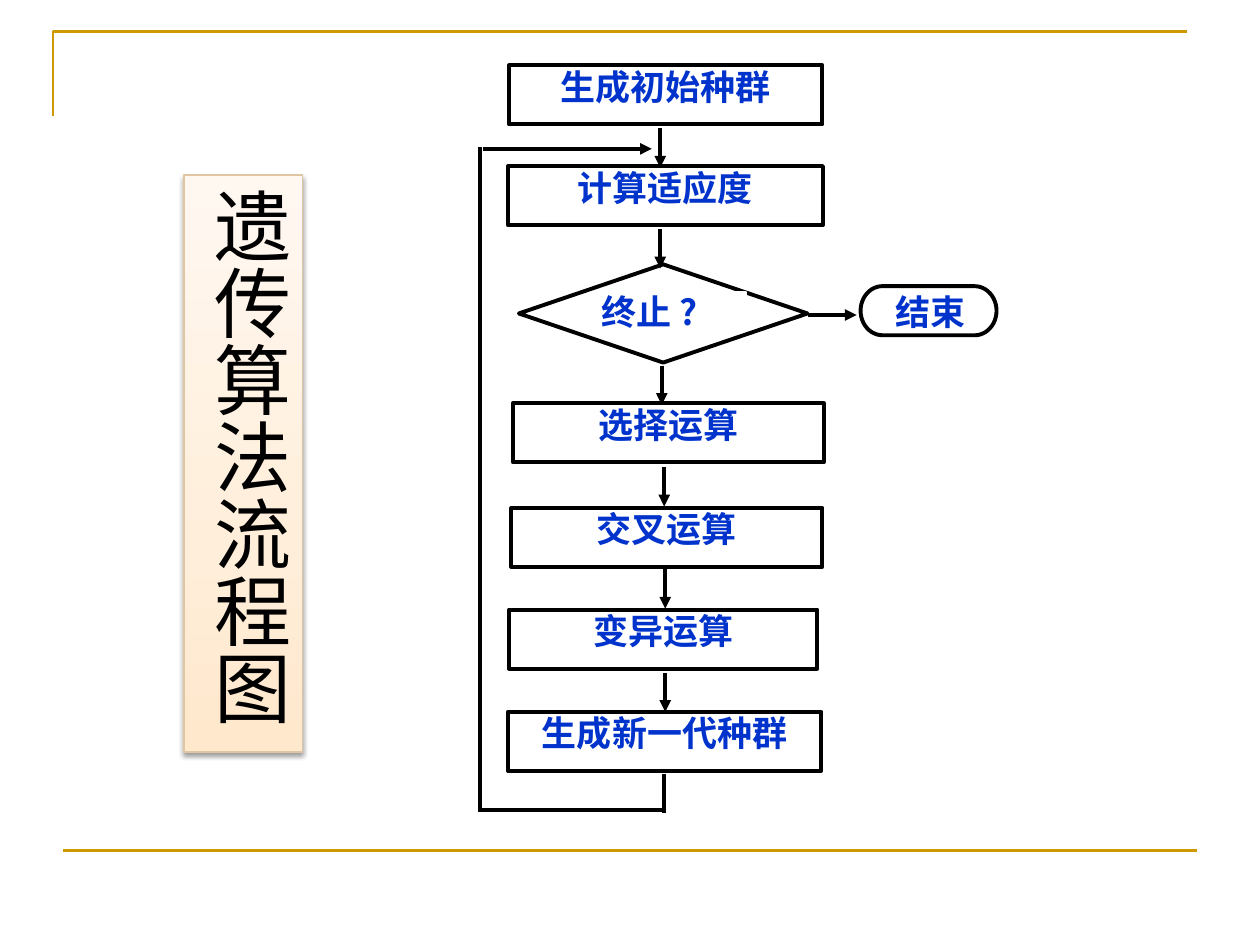
from dataclasses import dataclass

from lxml.etree import SubElement as Sub
from pptx import Presentation
from pptx.dml.color import RGBColor as Rgb
from pptx.enum.shapes import MSO_CONNECTOR as Conn, MSO_SHAPE as Kind
from pptx.enum.text import MSO_ANCHOR as Anchor, PP_ALIGN as Align
from pptx.oxml.ns import qn
from pptx.util import Cm, Pt


@dataclass(frozen=True)
class Theme:
    """Colours, type sizes, fonts and line widths of the slide."""
    ink: str = "000000"
    text: str = "0033CC"
    paper: str = "FFFFFF"
    gold: str = "CC9900"
    rim: str = "DEC6A5"
    glow: tuple = ((0, "FFE8CC"), (35, "FFEEDA"), (100, "FFF8F1"))
    body: int = 20
    head: int = 44
    sans: str = "Noto Sans CJK SC"
    tall: str = "Noto Sans CJK JP"
    thin: float = 0.75
    rule: float = 1.5
    bold: float = 2.25


THEME = Theme()
STEP = 1.19
DROP = 0.79
STEPS = (
    ("生成初始种群", 0.63, 0, 6.32),
    ("计算适应度", 0.61, 2.03, 6.35),
    ("选择运算", 0.71, 6.81, 6.27),
    ("交叉运算", 0.68, 8.92, 6.27),
    ("变异运算", 0.63, 10.97, 6.22),
    ("生成新一代种群", 0.61, 13.03, 6.32),
)
DROPS = ((3.68, 1.27), (3.68, 3.3), (3.71, 6.05),
         (3.76, 8.1), (3.78, 10.16), (3.78, 12.24))
LOOP = (
    (3.76, 14.28, 3.76, 15.06, False),
    (3.76, 15.01, 0, 15.01, False),
    (0.05, 14.99, 0.05, 1.65, False),
    (0.1, 1.68, 3.51, 1.68, True),
)


def apply(item, style):
    """Set each attribute named in the style on the item."""
    for name, value in style.items():
        setattr(item, name, value)


def stroke(item, hue, width):
    """Give a shape or connector a solid line."""
    item.line.color.rgb = Rgb.from_string(hue)
    item.line.width = Pt(width)


def block(slide, kind, box, hue=THEME.ink, width=THEME.bold):
    """Add a white shape with a plain outline."""
    shape = slide.shapes.add_shape(kind, *map(Cm, box))
    shape.shadow.inherit = False
    shape.fill.solid()
    shape.fill.fore_color.rgb = Rgb.from_string(THEME.paper)
    stroke(shape, hue, width)
    return shape


def write(shape, text, align, frame, size, face, hue, bold):
    """Put one styled paragraph into a shape."""
    apply(shape.text_frame, frame)
    para = shape.text_frame.paragraphs[0]
    para.alignment = align
    run = para.add_run()
    run.text = text
    apply(run.font, {"name": face, "size": Pt(size), "bold": bold})
    run.font.color.rgb = Rgb.from_string(hue)
    Sub(run.font._element, qn("a:ea"), typeface=face)


def label(shape, text, align=Align.CENTER, **frame):
    """Write flow chart text in the body style."""
    write(shape, text, align, {"word_wrap": True, **frame},
          THEME.body, THEME.sans, THEME.text, True)


def line(slide, ends, hue=THEME.ink, width=THEME.bold, arrow=False):
    """Draw a straight line, with an arrowhead if asked."""
    link = slide.shapes.add_connector(Conn.STRAIGHT, *map(Cm, ends))
    stroke(link, hue, width)
    if arrow:
        Sub(link.line._get_or_add_ln(), qn("a:tailEnd"), type="triangle")
    Sub(link._element.spPr, qn("a:effectLst"))


def border(slide, x, y, w, h):
    """Draw the gold corner and the lower rule."""
    pen = slide.shapes.build_freeform(Cm(x), Cm(y + 1.7))
    pen.add_line_segments([(Cm(x), Cm(y)), (Cm(x + w), Cm(y))], close=False)
    edge = pen.convert_to_shape()
    edge.shadow.inherit = False
    edge.fill.background()
    stroke(edge, THEME.gold, THEME.rule)
    line(slide, (x + 0.2, y + h, x + 0.2 + w, y + h), THEME.gold, THEME.rule)


def patch(slide, text, box, align):
    """Add a white text patch without insets."""
    shape = block(slide, Kind.RECTANGLE, box, THEME.paper, THEME.thin)
    sides = ("margin_left", "margin_top", "margin_right", "margin_bottom")
    label(shape, text, align, vertical_anchor=Anchor.MIDDLE,
          **dict.fromkeys(sides, 0))


def chart(slide, x, y):
    """Build the flow chart from its upper left corner."""
    line(slide, (x + 6.65, y + 5.03, x + 7.64, y + 5.03), arrow=True)
    for text, left, top, wide in STEPS:
        step = block(slide, Kind.RECTANGLE, (x + left, y + top, wide, STEP))
        label(step, text, vertical_anchor=Anchor.TOP, margin_top=0)
    block(slide, Kind.FLOWCHART_DECISION, (x + 0.83, y + 4.01, 5.82, 1.98))
    patch(slide, "终止 ?", (x + 2.49, y + 4.57, 2.92, 0.79), Align.JUSTIFY)
    for left, top in DROPS:
        line(slide, (x + left, y + top, x + left, y + top + DROP), arrow=True)
    for ax, ay, bx, by, arrow in LOOP:
        line(slide, (x + ax, y + ay, x + bx, y + by), arrow=arrow)
    block(slide, Kind.FLOWCHART_TERMINATOR, (x + 7.72, y + 4.45, 2.74, 0.99))
    patch(slide, "结束", (x + 8.4, y + 4.57, 1.45, 0.79), Align.CENTER)


def title(slide, *box):
    """Build the upright title with its gradient and soft shadow."""
    card = block(slide, Kind.RECTANGLE, box, THEME.rim, THEME.thin)
    card.fill.gradient()
    card.fill.gradient_angle = 90
    props = card._element.spPr
    stops = props.find(".//" + qn("a:gsLst"))
    stops[:] = []
    for place, hue in THEME.glow:
        stop = Sub(stops, qn("a:gs"), pos=str(place * 1000))
        Sub(stop, qn("a:srgbClr"), val=hue)
    cast = Sub(props.find(qn("a:effectLst")), qn("a:outerShdw"),
               blurRad=str(Pt(3.1)), dist=str(Pt(1.6)), dir="5400000",
               rotWithShape="0")
    tint = Sub(cast, qn("a:srgbClr"), val=THEME.ink)
    Sub(tint, qn("a:alpha"), val="38000")
    write(card, "遗传算法流程图", Align.LEFT,
          {"word_wrap": False, "vertical_anchor": Anchor.TOP},
          THEME.head, THEME.tall, THEME.ink, False)
    card.text_frame._txBody.bodyPr.set("vert", "eaVert")


def main():
    """Build and save the slide."""
    deck = Presentation()
    apply(deck, {"slide_width": Cm(25.4), "slide_height": Cm(19.05)})
    slide = deck.slides.add_slide(deck.slide_layouts[6])
    border(slide, 1.07, 0.64, 22.86, 16.51)
    chart(slide, 9.63, 1.32)
    title(slide, 3.71, 3.53, 2.39, 11.63)
    deck.save("out.pptx")


if __name__ == "__main__":
    main()
